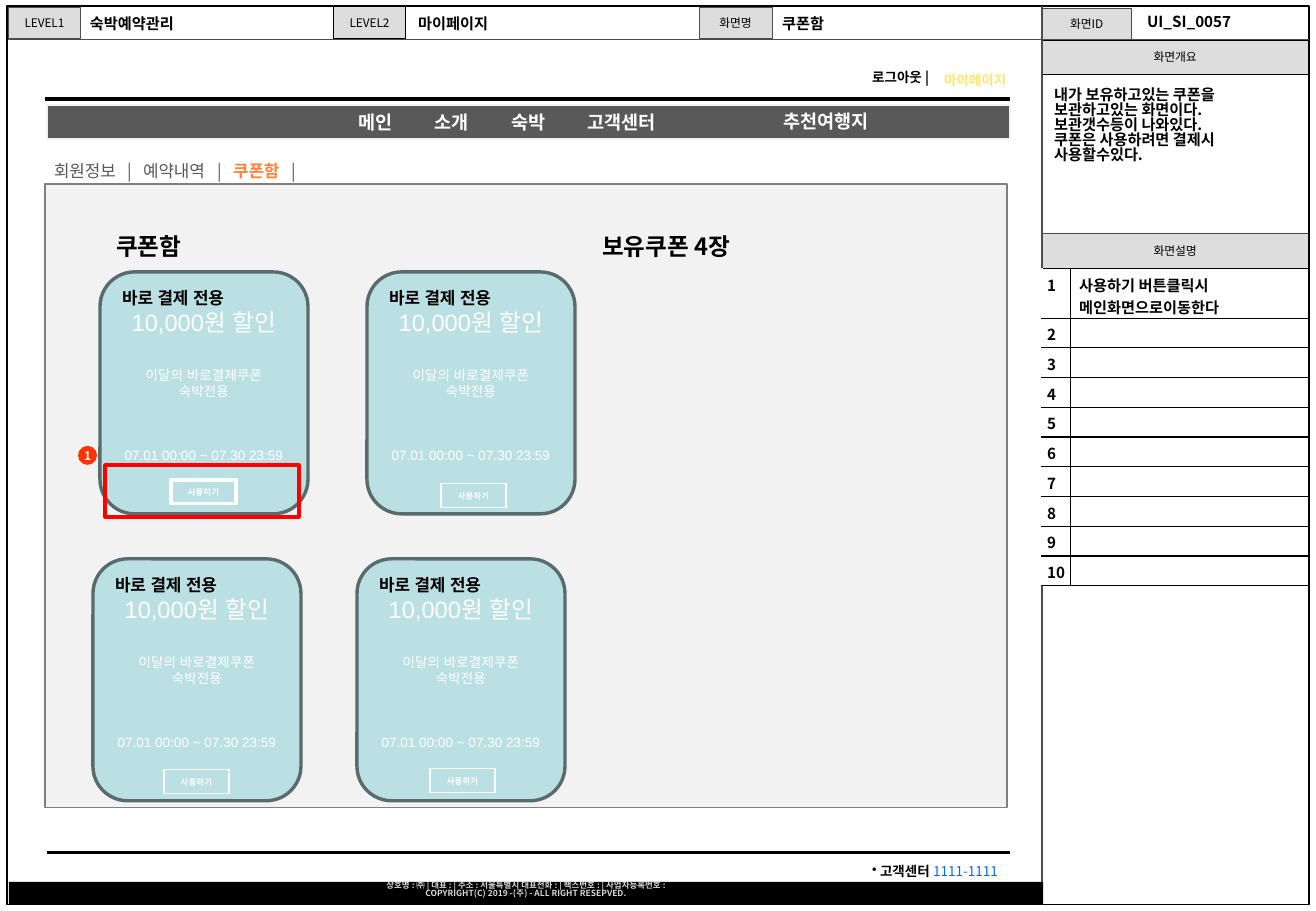
from lxml import etree
from pptx import Presentation
from pptx.dml.color import RGBColor
from pptx.enum.shapes import MSO_CONNECTOR, MSO_SHAPE
from pptx.enum.text import MSO_ANCHOR, MSO_AUTO_SIZE, PP_ALIGN
from pptx.oxml.ns import qn
from pptx.util import Emu, Pt

RECT, ROUND, OVAL = MSO_SHAPE.RECTANGLE, MSO_SHAPE.ROUNDED_RECTANGLE, MSO_SHAPE.OVAL
STRAIGHT = MSO_CONNECTOR.STRAIGHT
LEFT, CENTER, RIGHT = PP_ALIGN.LEFT, PP_ALIGN.CENTER, PP_ALIGN.RIGHT
TOP, MIDDLE = MSO_ANCHOR.TOP, MSO_ANCHOR.MIDDLE
NO_FIT = MSO_AUTO_SIZE.NONE
KR, LATIN = "Noto Sans CJK KR", "Arial"
BLACK, WHITE, GRAY, DARK, AQUA = "000000", "FFFFFF", "DDDDDD", "4D4D4D", "BBE0E3"

LABELS = [
    ("LEVEL1", (8, 7, 73, 32), DARK),
    ("화면명", (699, 7, 73, 32), DARK),
    ("화면설명", (1042, 233, 266, 36), DARK),
    ("화면ID", (1042, 8, 89, 32), DARK),
    ("화면개요", (1042, 40, 266, 34), BLACK),
    ("LEVEL2", (333, 6, 73, 33), BLACK),
]
SCREEN_NAME = ("쿠폰함", (770, 8, 185, 31))
HEADINGS = [
    ("숙박예약관리", (78, 8, 159, 31)),
    ("마이페이지", (406, 8, 203, 31)),
    ("UI_SI_0057", (1135, 6, 159, 31)),
]
LINES = [
    (1042, 6, 1042, 905, DARK, 0.75),
    (8, 39, 1309, 39, DARK, 0.5),
    (45, 99, 1010, 99, BLACK, 2.25),
    (47, 853, 1010, 853, BLACK, 2),
]
MENU = ["메인", "소개", "숙박", "고객센터"]
MENU_STOPS = [299, 375, 452, 528]
TABS_STOPS = [73, 89, 163, 179, 237]
OVERVIEW = [
    "내가 보유하고있는 쿠폰을 보관하고있는 화면이다.",
    "보관갯수등이 나와있다.",
    "쿠폰은 사용하려면 결제시 사용할수있다.",
]
FOOTER = [
    "상호명 : ㈜ | 대표 : | 주소 : 서울특별시 대표전화 : | 팩스번호 : | 사업자등록번호 :",
    "COPYRIGHT(C) 2019 -(주) - ALL RIGHT RESEPVED.",
]
COUPON = [
    ("바로 결제 전용", dict(size=10, bold=True, color=BLACK, align=LEFT)),
    ("10,000원 할인", dict(size=14)),
    ("이달의 바로결제쿠폰", dict(before=18)),
    ("숙박전용", dict()),
    ("07.01 00:00 ~ 07.30 23:59", dict(before=28)),
]
COUPONS = [
    ((100, 272), (171, 480), 2),
    ((367, 272), (441, 484), 0.75),
    ((93, 559), (164, 770), 0.75),
    ((357, 559), (430, 769), 0.75),
]
NOTES = ["사용하기 버튼클릭시 메인화면으로이동한다"] + [""] * 9

prs = Presentation()
prs.slide_width, prs.slide_height = Emu(9902952), Emu(6858000)


def px(n):
    return Emu(round(n * 914400 / 121.5))


def rgb(value):
    return RGBColor.from_string(value)


def write(tf, text, first=True, size=9, color=BLACK, bold=False, font=KR, align=LEFT,
          before=0, spacing=None, stops=(), bullet=None, same=False):
    p = tf.paragraphs[-1] if first or same else tf.add_paragraph()
    if not same:
        p.alignment = align
        if before:
            p.space_before = Pt(before)
        if spacing:
            p.line_spacing = spacing
        ppr = p._p.get_or_add_pPr()
        if bullet:
            ppr.set("marL", str(px(8)))
            ppr.set("indent", str(-px(8)))
            etree.SubElement(ppr, qn("a:buChar"), char=bullet)
        if stops:
            tabs = etree.SubElement(ppr, qn("a:tabLst"))
            for stop in stops:
                etree.SubElement(tabs, qn("a:tab"), pos=str(px(stop)), algn="l")
    if not text:
        etree.SubElement(p._p, qn("a:endParaRPr"), sz=str(size * 100))
        return
    r = p.add_run()
    r.text = text
    r.font.size, r.font.bold, r.font.name = Pt(size), bold, font
    r.font.color.rgb = rgb(color)
    etree.SubElement(r._r.get_or_add_rPr(), qn("a:ea"), typeface=font)


def frame(sp, anchor=MIDDLE, inset=(12, 6)):
    tf = sp.text_frame
    tf.word_wrap, tf.auto_size, tf.vertical_anchor = True, NO_FIT, anchor
    tf.margin_left = tf.margin_right = px(inset[0])
    tf.margin_top = tf.margin_bottom = px(inset[1])
    return tf


def box(at):
    return frame(s.shapes.add_textbox(*map(px, at)))


def shape(kind, at, fill=None, line=None, width=0.75):
    sp = s.shapes.add_shape(kind, *map(px, at))
    sp.shadow.inherit = False
    if fill:
        sp.fill.solid()
        sp.fill.fore_color.rgb = rgb(fill)
    else:
        sp.fill.background()
    if line:
        sp.line.color.rgb = rgb(line)
        sp.line.width = Pt(width)
    else:
        sp.line.fill.background()
    return sp


def border(cell, sides):
    tcpr = cell._tc.get_or_add_tcPr()
    for i, side in enumerate(sides):
        ln = etree.Element(qn("a:" + side), w=str(Pt(0.75)))
        fill = etree.SubElement(ln, qn("a:solidFill"))
        etree.SubElement(fill, qn("a:srgbClr"), val=BLACK)
        tcpr.insert(i, ln)


s = prs.slides.add_slide(prs.slide_layouts[5])
title = s.shapes.title
title.left, title.top, title.width, title.height = map(px, SCREEN_NAME[1])
write(frame(title), SCREEN_NAME[0], bold=True)

for text, at, line in LABELS:
    write(frame(shape(RECT, at, GRAY, line, 0.5)), text, size=7, align=CENTER)
shape(RECT, (7, 6, 1302, 899), line=BLACK)
for x1, y1, x2, y2, color, width in LINES:
    cn = s.shapes.add_connector(STRAIGHT, px(x1), px(y1), px(x2), px(y2))
    cn.line.color.rgb = rgb(color)
    cn.line.width = Pt(width)
    etree.SubElement(cn._element.spPr, qn("a:effectLst"))
for text, at in HEADINGS:
    write(box(at), text, bold=True)

write(box((860, 63, 90, 29)), "로그아웃 |", size=8, bold=True)
write(box((932, 66, 99, 29)), "마이페이지", size=8, bold=True, color="FFE766")
menu = frame(shape(RECT, (47, 105, 963, 34), "595959", "F2F2F2"))
write(menu, "\t" + "\t".join(MENU), size=11, bold=True, color=WHITE, stops=MENU_STOPS)
write(box((771, 104, 205, 35)), "추천여행지", size=11, bold=True, color=WHITE)

tabs = box((42, 154, 425, 33))
write(tabs, "회원정보\t|\t예약내역\t|\t", size=10, color="595959", stops=TABS_STOPS)
write(tabs, "쿠폰함", size=10, color="FF843A", bold=True, same=True)
write(tabs, "\t|", size=10, color="595959", same=True)

shape(RECT, (45, 184, 962, 624), "F2F2F2", "7F7F7F")
write(box((104, 227, 885, 39)), "쿠폰함\t보유쿠폰 4장", size=14, bold=True, stops=[486])

for card_at, button_at, width in COUPONS:
    card = frame(shape(ROUND, (*card_at, 208, 242), AQUA, "596B6C", 2), TOP)
    for i, (text, style) in enumerate(COUPON):
        base = dict(size=8, color=WHITE, font=LATIN, align=CENTER)
        write(card, text, first=i == 0, **(base | style))
    button = frame(shape(RECT, (*button_at, 65, 24), AQUA, WHITE, width))
    write(button, "사용하기", size=5, bold=True, color=WHITE, font=LATIN, align=CENTER)

overview = box((1042, 75, 267, 102))
for i, text in enumerate(OVERVIEW):
    write(overview, text, first=i == 0, bold=True, spacing=0.83)

heights = [48] + [268 / 9] * 9
table = s.shapes.add_table(10, 2, px(1042), px(269), px(267), px(sum(heights))).table
table.columns[0].width, table.columns[1].width = px(28), px(239)
for i, (height, note) in enumerate(zip(heights, NOTES)):
    table.rows[i].height = px(height)
    for j, text in enumerate((str(i + 1), note)):
        cell = table.cell(i, j)
        cell.fill.background()
        cell.margin_left = cell.margin_right = px((5, 9)[j])
        cell.margin_top, cell.margin_bottom = px(5), 0
        write(cell.text_frame, text, bold=True)
        border(cell, (("lnR", "lnT", "lnB"), ("lnL", "lnR", "lnT", "lnB"))[j])

badge = frame(shape(OVAL, (78, 446, 19, 19), "FF3300"), inset=(0, 0))
write(badge, "1", size=7, bold=True, color=WHITE, align=CENTER)
shape(RECT, (105, 465, 194, 52), line="FF0000", width=2)

contact = box((844, 857, 166, 29))
write(contact, "고객센터 ", size=8, bold=True, align=RIGHT, bullet="•")
write(contact, "1111-1111", size=8, color="0066FF", same=True)
footer = frame(shape(RECT, (9, 882, 1034, 23), BLACK), TOP, (12, 0))
for i, text in enumerate(FOOTER):
    write(footer, text, first=i == 0, size=5, bold=True, color="D8D8D8", align=CENTER, spacing=0.82)

prs.save("out.pptx")
